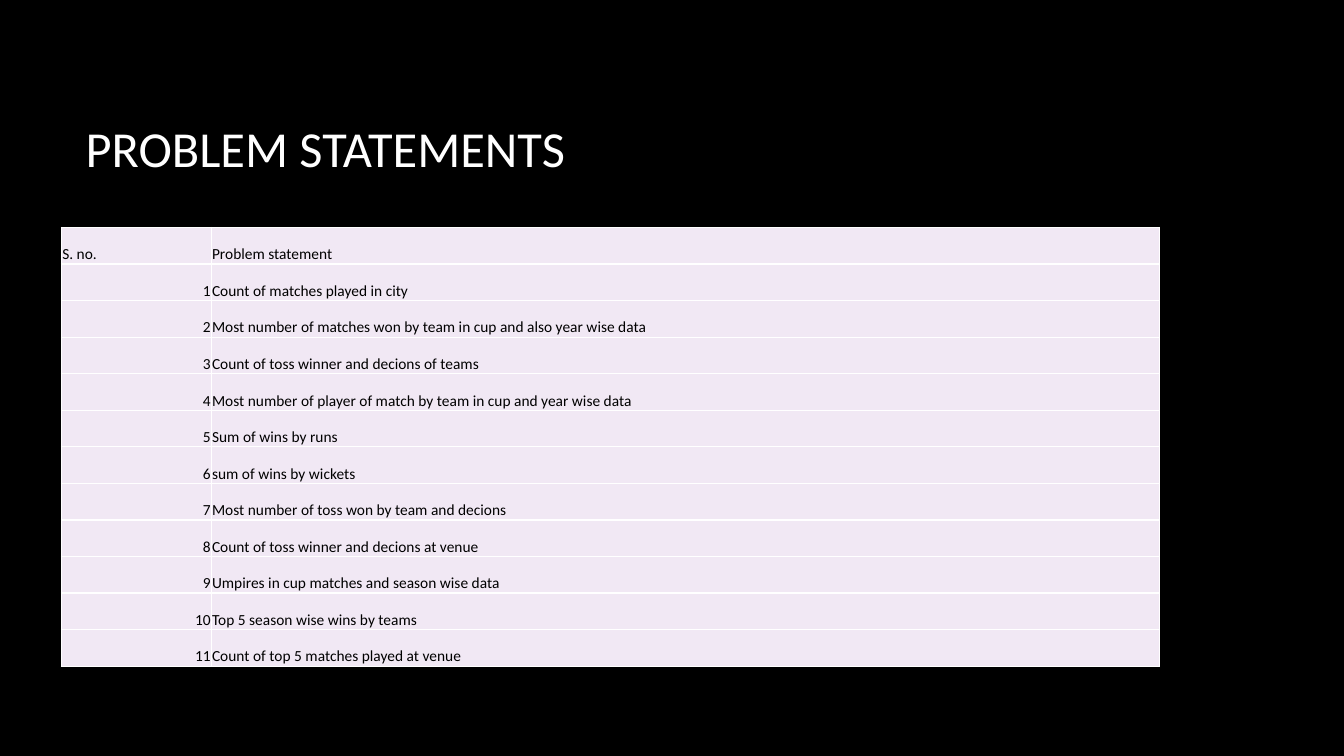
from lxml.etree import SubElement as Sub
from pptx import Presentation
from pptx.dml.color import RGBColor as Rgb
from pptx.enum.text import MSO_ANCHOR as Anchor, PP_ALIGN as Align
from pptx.oxml.ns import qn
from pptx.util import Pt

TITLE = "PROBLEM STATEMENTS"
HEAD = ("S. no.", "Problem statement")
ITEMS = [
    "Count of matches played in city",
    "Most number of matches won by team in cup and also year wise data",
    "Count of toss winner and decions of teams",
    "Most number of player of match by team in cup and year wise data",
    "Sum of wins by runs",
    "sum of wins by wickets",
    "Most number of toss won by team and decions",
    "Count of toss winner and decions at venue",
    "Umpires in cup matches and season wise data",
    "Top 5 season wise wins by teams",
    "Count of top 5 matches played at venue",
]
COLORS = {"back": "000000", "title": "FFFFFF", "cell": "F1E8F4",
          "text": "000000", "line": "FFFFFF"}
FONT = "Calibri"
WIDE, HIGH = 1920, 1080
TITLE_BOX = (108, 96, 1596, 228)
TABLE_BOX = (88, 325, 1569, 627)
COLS = (214, 1355)


def px(num):
    return round(num * 12192000 / WIDE)


def write(frame, text, size, color, align=Align.LEFT):
    para = frame.paragraphs[0]
    para.alignment = align
    run = para.add_run()
    run.text = text
    run.font.name = FONT
    run.font.size = Pt(size)
    run.font.color.rgb = Rgb.from_string(COLORS[color])


def paint(fill, color):
    fill.solid()
    fill.fore_color.rgb = Rgb.from_string(COLORS[color])


def border(cell):
    props = cell._tc.get_or_add_tcPr()
    for at, side in enumerate(("lnL", "lnR", "lnT", "lnB")):
        line = props.makeelement(qn(f"a:{side}"), {"w": str(Pt(1))})
        solid = Sub(line, qn("a:solidFill"))
        Sub(solid, qn("a:srgbClr"), val=COLORS["line"])
        props.insert(at, line)


def add_title(slide):
    title = slide.shapes.title
    title.left, title.top, title.width, title.height = map(px, TITLE_BOX)
    title.text_frame.vertical_anchor = Anchor.MIDDLE
    write(title.text_frame, TITLE, 36, "title")


def add_grid(slide):
    rows = [HEAD] + [(str(num), item) for num, item in enumerate(ITEMS, 1)]
    grid = slide.shapes.add_table(len(rows), len(COLS), *map(px, TABLE_BOX)).table
    for col, wide in zip(grid.columns, COLS):
        col.width = px(wide)
    for r, row in enumerate(rows):
        grid.rows[r].height = px(TABLE_BOX[3] / len(rows))
        for c, text in enumerate(row):
            cell = grid.cell(r, c)
            cell.vertical_anchor = Anchor.BOTTOM
            cell.margin_left = cell.margin_right = cell.margin_top = px(1)
            cell.margin_bottom = 0
            paint(cell.fill, "cell")
            border(cell)
            align = Align.RIGHT if r and c == 0 else Align.LEFT
            write(cell.text_frame, text, 11, "text", align)


def main():
    deck = Presentation()
    deck.slide_width, deck.slide_height = px(WIDE), px(HIGH)
    slide = deck.slides.add_slide(deck.slide_layouts[5])
    paint(slide.background.fill, "back")
    add_title(slide)
    add_grid(slide)
    deck.save("out.pptx")


if __name__ == "__main__":
    main()
